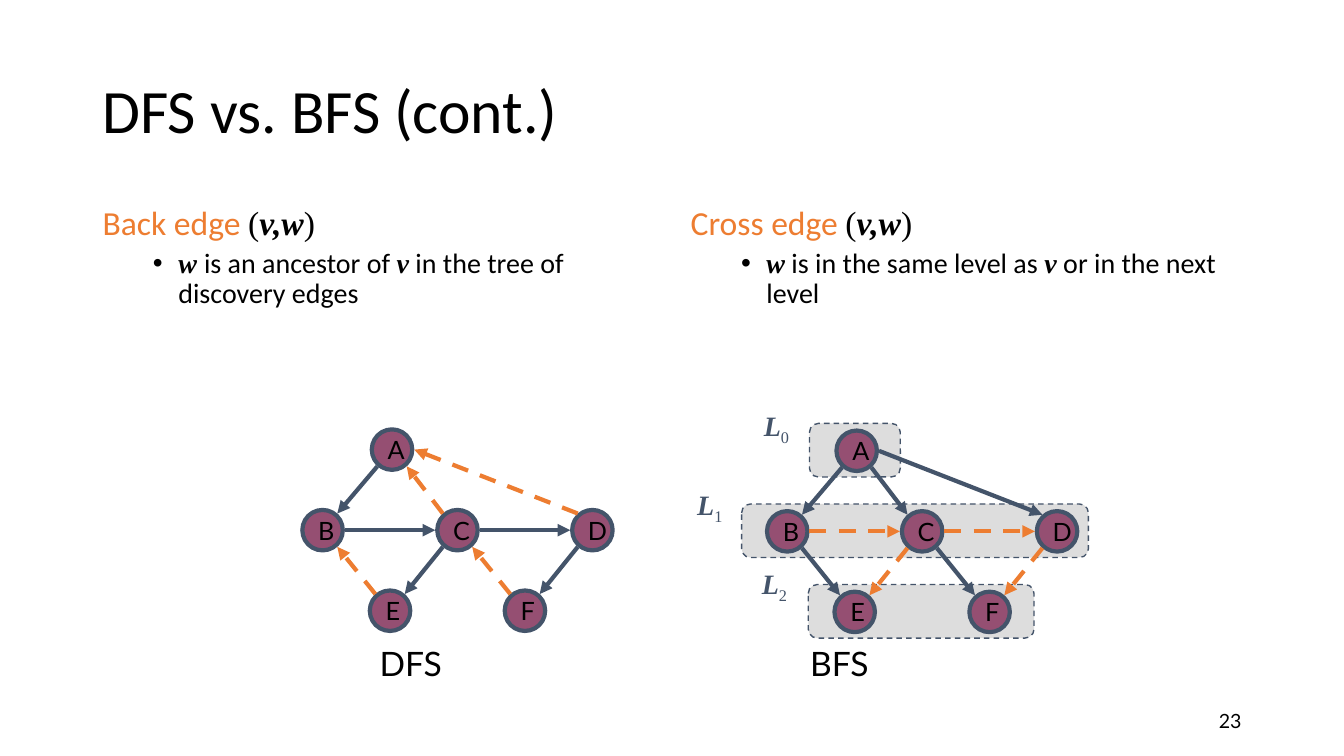
from dataclasses import dataclass
from typing import NamedTuple

from lxml import etree
from pptx import Presentation
from pptx import util as u
from pptx.dml.color import RGBColor
from pptx.enum import dml, shapes, text
from pptx.oxml.ns import qn

COLORS = {"black": "000000", "orange": "ED7D31", "slate": "44546A",
          "plum": "954F72", "gray": "DDDDDD"}
SANS, NODE_FONT, SERIF = "Calibri", "Lato", "Times New Roman"

# Node centres in cm, shared by both graphs
COL, ROW, LEFT, TOP = 1.7, 2.03, 8.13, 11.33
DIAMETER = 1.02
SIDE_GAP, DIAG_X, DIAG_Y = 0.56, 0.37, 0.42
NODES = {"A": (LEFT + COL + 0.05, TOP)} | {
    name: (LEFT + COL * col, TOP + ROW * row)
    for name, col, row in [("B", 0, 1), ("C", 2, 1), ("D", 4, 1), ("E", 1, 2), ("F", 3, 2)]}


class Box(NamedTuple):
    x: float
    y: float
    w: float
    h: float


class Run(NamedTuple):
    text: str
    font: str = SANS
    color: str = "black"
    strong: bool = False  # bold italic
    sub: bool = False


@dataclass
class Column:
    left: float
    heading: str
    detail: list[Run]


@dataclass
class Level:
    box: Box
    label: tuple[float, float]


@dataclass
class Graph:
    caption: str
    caption_left: float
    dx: float
    dy: float
    tree: list[str]    # solid edges, from first node to second
    other: list[str]   # dashed edges


COLUMNS = [
    Column(2.33, "Back edge ", [
        Run("w ", SERIF, strong=True), Run("is an ancestor of "),
        Run("v", SERIF, strong=True), Run(" in the tree of discovery edges")]),
    Column(17.15, "Cross edge ", [
        Run("w", SERIF, strong=True), Run(" is in the same level as "),
        Run("v", SERIF, strong=True), Run(" or in the next level")]),
]
LEVELS = [
    Level(Box(20.4, 10.67, 2.29, 1.35), (19.0, 10.16)),
    Level(Box(18.69, 12.7, 8.74, 1.35), (17.32, 12.17)),
    Level(Box(20.37, 14.73, 5.69, 1.35), (18.95, 14.15)),
]
GRAPHS = [
    Graph("DFS", 9.32, 0, 0, ["AB", "BC", "CD", "CE", "DF"], ["EB", "CA", "DA", "FC"]),
    Graph("BFS", 20.17, 11.71, 0.03, ["AB", "AC", "AD", "BE", "CF"], ["BC", "CD", "CE", "DF"]),
]


def rgb(name: str) -> RGBColor:
    return RGBColor.from_string(COLORS[name])


def set_all(obj, **values) -> None:
    for name, value in values.items():
        setattr(obj, name, value)


def place(sp, box: Box) -> None:
    set_all(sp, left=u.Cm(box.x), top=u.Cm(box.y), width=u.Cm(box.w), height=u.Cm(box.h))


def add_runs(p, runs: list[Run], size: float) -> None:
    for run in runs:
        r = p.add_run()
        r.text = run.text
        set_all(r.font, name=run.font, size=u.Pt(size), bold=run.strong, italic=run.strong)
        r.font.color.rgb = rgb(run.color)
        if run.sub:
            r.font._element.set("baseline", "-25000")


def add_label(s, box: Box, runs: list[Run], size: float):
    tf = s.shapes.add_textbox(*map(u.Cm, box)).text_frame
    tf.word_wrap = True
    add_runs(tf.paragraphs[0], runs, size)
    return tf


def add_outlined(s, kind, box: Box, fill: str, width: float):
    sp = s.shapes.add_shape(kind, *map(u.Cm, box))
    sp.shadow.inherit = False
    sp.fill.solid()
    sp.fill.fore_color.rgb = rgb(fill)
    sp.line.color.rgb = rgb("slate")
    sp.line.width = u.Pt(width)
    return sp


def add_title(s, title: str) -> None:
    sp = s.shapes.title
    place(sp, Box(2.33, 1.01, 29.21, 3.68))
    tf = sp.text_frame
    set_all(tf, vertical_anchor=text.MSO_ANCHOR.MIDDLE, auto_size=text.MSO_AUTO_SIZE.NONE)
    p = tf.paragraphs[0]
    set_all(p, alignment=text.PP_ALIGN.LEFT, line_spacing=0.9)
    add_runs(p, [Run(title)], 44)


def add_column(sp, column: Column) -> None:
    place(sp, Box(column.left, 5.07, 14.4, 12.09))
    tf = sp.text_frame
    tf.auto_size = text.MSO_AUTO_SIZE.NONE
    heading = [Run(column.heading, color="orange"), Run("(", SERIF),
               Run("v,w", SERIF, strong=True), Run(")", SERIF)]
    for level, (runs, size, before, bullet) in enumerate(
            [(heading, 24, 10, None), (column.detail, 20, 5, "•")]):
        p = tf.add_paragraph() if level else tf.paragraphs[0]
        set_all(p, level=level, line_spacing=0.9, space_before=u.Pt(before))
        add_runs(p, runs, size)
        pPr = p._p.get_or_add_pPr()
        pPr.set("marL", str(u.Cm(0.64 + 1.27 * level)))
        pPr.set("indent", str(u.Cm(-0.64)))
        if bullet:
            etree.SubElement(pPr, qn("a:buFont"), typeface="Arial")
            etree.SubElement(pPr, qn("a:buChar"), char=bullet)
        else:
            etree.SubElement(pPr, qn("a:buNone"))


def add_level(s, number: int, level: Level) -> None:
    sp = add_outlined(s, shapes.MSO_SHAPE.ROUNDED_RECTANGLE, level.box, "gray", 1)
    sp.line.dash_style = dml.MSO_LINE.DASH
    add_label(s, Box(*level.label, 1.3, 1.09),
              [Run("L", SERIF, "slate", strong=True),
               Run(str(number), SERIF, "slate", sub=True)], 20)


def add_node(s, name: str, x: float, y: float) -> None:
    box = Box(x - DIAMETER / 2, y - DIAMETER / 2, DIAMETER, DIAMETER)
    tf = add_outlined(s, shapes.MSO_SHAPE.OVAL, box, "plum", 3).text_frame
    set_all(tf, word_wrap=False, vertical_anchor=text.MSO_ANCHOR.MIDDLE)
    tf.paragraphs[0].alignment = text.PP_ALIGN.LEFT
    add_runs(tf.paragraphs[0], [Run(name, NODE_FONT)], 18)


def port(node: str, other: str) -> tuple[float, float]:
    """Point on the rim of node: its side for level or long edges, else a corner."""
    (x, y), (ox, oy) = NODES[node], NODES[other]
    sign = 1 if ox > x else -1
    if y == oy or (oy > y and abs(ox - x) > 2 * (oy - y)):
        return x + sign * SIDE_GAP, y
    return x + sign * DIAG_X, y + (DIAG_Y if oy > y else -DIAG_Y)


def add_edge(s, graph: Graph, edge: str, dashed: bool) -> None:
    start, end = edge
    ends = [u.Cm(v + d) for pt in (port(start, end), port(end, start))
            for v, d in zip(pt, (graph.dx, graph.dy))]
    cxn = s.shapes.add_connector(shapes.MSO_CONNECTOR.STRAIGHT, *ends)
    cxn.line.color.rgb = rgb("orange" if dashed else "slate")
    cxn.line.width = u.Pt(3)
    if dashed:
        cxn.line.dash_style = dml.MSO_LINE.DASH
    etree.SubElement(cxn.line._get_or_add_ln(), qn("a:tailEnd"), type="triangle")
    etree.SubElement(cxn._element.spPr, qn("a:effectLst"))


def add_graph(s, graph: Graph) -> None:
    for name, (x, y) in NODES.items():
        add_node(s, name, x + graph.dx, y + graph.dy)
    for edges, dashed in ((graph.tree, False), (graph.other, True)):
        for edge in edges:
            add_edge(s, graph, edge, dashed)
    add_label(s, Box(graph.caption_left, 16.08, 4.42, 1.27), [Run(graph.caption, NODE_FONT)], 24)


def main() -> None:
    prs = Presentation()
    set_all(prs, slide_width=u.Cm(33.87), slide_height=u.Cm(19.05))
    s = prs.slides.add_slide(prs.slide_layouts[3])

    # Title and the two definitions
    add_title(s, "DFS vs. BFS (cont.)")
    for idx, column in enumerate(COLUMNS, 1):
        add_column(s.placeholders[idx], column)

    # Slide number
    tf = add_label(s, Box(23.92, 17.66, 7.62, 1.01), [Run("23", NODE_FONT)], 14)
    tf.vertical_anchor = text.MSO_ANCHOR.MIDDLE
    tf.paragraphs[0].alignment = text.PP_ALIGN.RIGHT

    # BFS levels behind the graphs
    for number, level in enumerate(LEVELS):
        add_level(s, number, level)
    for graph in GRAPHS:
        add_graph(s, graph)
    prs.save("out.pptx")


if __name__ == "__main__":
    main()
